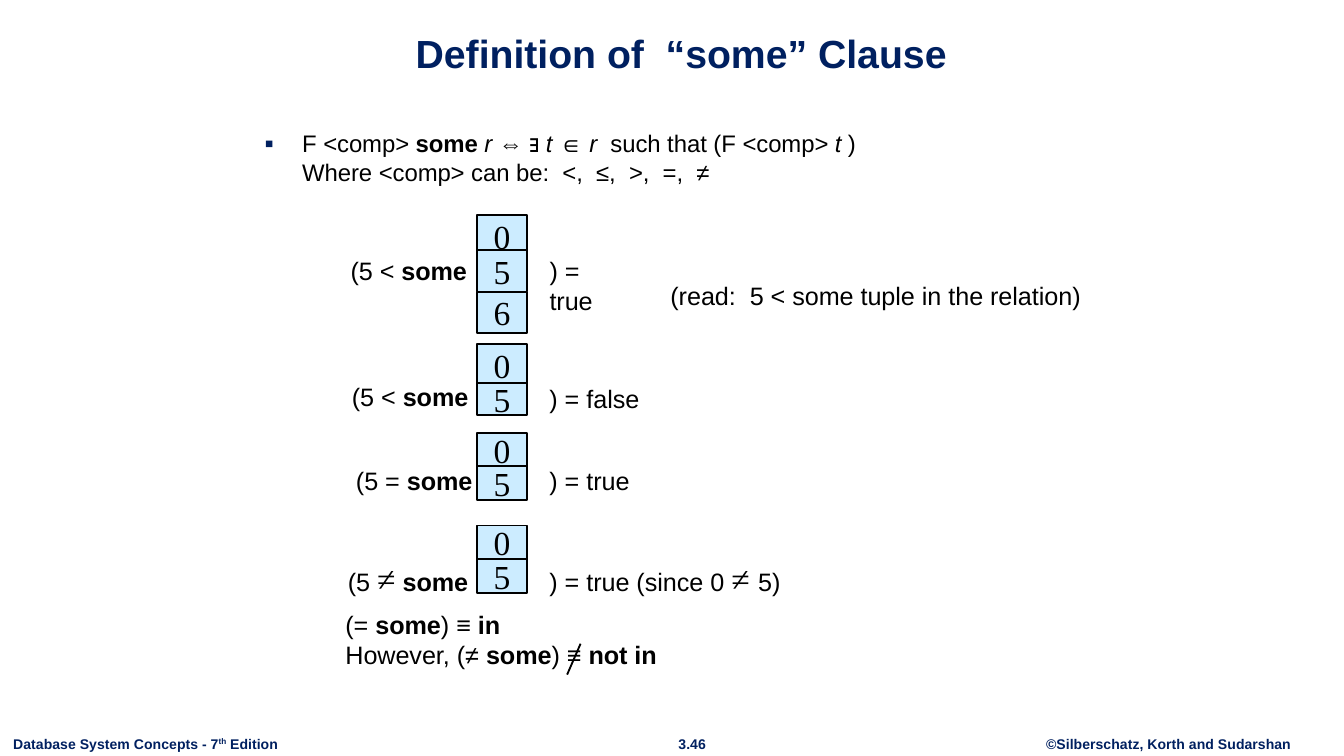
from lxml import etree
from pptx import Presentation
from pptx import util as u
from pptx.dml.color import RGBColor
from pptx.enum import shapes, text
from pptx.oxml.ns import qn

COLORS = {"navy": "002060", "black": "000000", "cell": "CCECFF"}
WIDTH = 10
HEIGHT = WIDTH * 9 / 16
LEFT_COLUMN, CELL_COLUMN, RESULT_COLUMN = 2.5, 3.55, 3.99
CELL_WIDTH = 0.37
LABEL_HEIGHT = 0.33

# Each example: cells (value, top, height), left label, result label.
# A label is (left, top, width, height, runs); a run is (text, style flags).
EXAMPLES = [
    ([("0", 1.6, 0.31), ("5", 1.86, 0.31), ("6", 2.17, 0.31)],
     (2.51, 1.85, 1.11, LABEL_HEIGHT, [("(5 < ", ""), ("some", "b")]),
     (RESULT_COLUMN, 1.85, 0.75, 0.56, [(") = true", "")])),
    ([("0", 2.56, 0.31), ("5", 2.85, 0.24)],
     (2.52, 2.79, 1.13, LABEL_HEIGHT, [("(5 < ", ""), ("some", "b")]),
     (RESULT_COLUMN, 2.8, 1, LABEL_HEIGHT, [(") = false", "")])),
    ([("0", 3.22, 0.25), ("5", 3.47, 0.25)],
     (2.55, 3.41, 1.25, LABEL_HEIGHT, [("(5 = ", ""), ("some", "b")]),
     (RESULT_COLUMN, 3.41, 1, LABEL_HEIGHT, [(") = true", "")])),
    ([("0", 3.91, 0.25), ("5", 4.16, 0.25)],
     (2.49, 4.1, 1.19, 0.4,
      [("(5 ", ""), ("≠", "m"), (" ", ""), ("some", "b")]),
     (RESULT_COLUMN, 4.1, 2.06, 0.4,
      [(") = true (since 0 ", ""), ("≠ ", "m"), ("5)", "")])),
]

DEFINITION = [
    ("F <comp> ", ""), ("some ", "b"), ("r ", "i"), ("⇔ ∃ ", ""), ("t ", "i"),
    ("∈", ""), (" r  ", "i"), ("such that (F <comp> ", ""), ("t ", "i"),
    (")", ""), ("\n", ""), ("Where <comp> can be:  <,  ≤,  >,  =,  ≠", ""),
]

CONCLUSIONS = [
    [("(= ", ""), ("some", "b"), (") ≡ ", ""), ("in", "b")],
    [("However, (≠ ", ""), ("some", "b"), (") ≡ ", ""), ("not in", "b")],
]

FOOTERS = [
    (0, 2.18, text.PP_ALIGN.LEFT,
     [("Database System Concepts - 7", "b"), ("th", "bs"), (" Edition", "b")]),
    (4.94, 0.42, text.PP_ALIGN.CENTER, [("3.46", "b")]),
    (7.68, 2.03, text.PP_ALIGN.CENTER,
     [("©Silberschatz, Korth and Sudarshan", "b")]),
]


def rgb(name):
    return RGBColor.from_string(COLORS[name])


def inches(*lengths):
    return [u.Inches(length) for length in lengths]


def set_font(font, size, color="black", name="Arial", bold=False, italic=False):
    font.size, font.name = u.Pt(size), name
    font.bold, font.italic = bold, italic
    font.color.rgb = rgb(color)


def write_runs(paragraph, runs, size, color="black"):
    """Style flags: b bold, i italic, s superscript, m large serif symbol."""
    for content, flags in runs:
        if content == "\n":
            paragraph.add_line_break()
            continue
        run = paragraph.add_run()
        run.text = content
        symbol = "m" in flags
        set_font(run.font, 18 if symbol else size, color,
                 "Times New Roman" if symbol else "Arial",
                 "b" in flags, "i" in flags)
        if "s" in flags:
            run._r.get_or_add_rPr().set("baseline", "30000")


def add_text(slide, box, paragraphs, size=13.5, color="black",
             align=text.PP_ALIGN.LEFT, wrap=True):
    frame = slide.shapes.add_textbox(*inches(*box)).text_frame
    frame.word_wrap = wrap
    for index, runs in enumerate(paragraphs):
        paragraph = frame.add_paragraph() if index else frame.paragraphs[0]
        paragraph.alignment = align
        write_runs(paragraph, runs, size, color)
    return frame


def add_bullet(paragraph, indent):
    properties = paragraph._p.get_or_add_pPr()
    properties.set("marL", str(u.Inches(indent)))
    properties.set("indent", str(-u.Inches(indent)))
    color = etree.SubElement(properties, qn("a:buClr"))
    etree.SubElement(color, qn("a:srgbClr"), val=COLORS["navy"])
    etree.SubElement(properties, qn("a:buSzPct"), val="110000")
    etree.SubElement(properties, qn("a:buFont"), typeface="Arial")
    etree.SubElement(properties, qn("a:buChar"), char="▪")


def add_cell(slide, value, top, height):
    cell = slide.shapes.add_shape(
        shapes.MSO_SHAPE.RECTANGLE,
        *inches(CELL_COLUMN, top, CELL_WIDTH, height))
    cell.shadow.inherit = False
    cell.fill.solid()
    cell.fill.fore_color.rgb = rgb("cell")
    cell.line.color.rgb = rgb("black")
    cell.line.width = u.Pt(1)
    frame = cell.text_frame
    frame.word_wrap = False
    frame.vertical_anchor = text.MSO_ANCHOR.MIDDLE
    frame.text = value
    paragraph = frame.paragraphs[0]
    paragraph.alignment = text.PP_ALIGN.CENTER
    set_font(paragraph.runs[0].font, 18, name="Times New Roman")


def add_line(slide, start, end):
    line = slide.shapes.add_connector(
        shapes.MSO_CONNECTOR.STRAIGHT, *inches(*start, *end))
    line.line.color.rgb = rgb("black")
    line.line.width = u.Pt(1)
    etree.SubElement(line._element.spPr, qn("a:effectLst"))


def set_title(slide, content):
    title = slide.shapes.title
    title.left, title.top, title.width, title.height = inches(
        1.76, 0.12, 6.62, 0.5)
    frame = title.text_frame
    frame.text = content
    frame.auto_size = text.MSO_AUTO_SIZE.NONE
    frame.vertical_anchor = text.MSO_ANCHOR.BOTTOM
    paragraph = frame.paragraphs[0]
    paragraph.alignment = text.PP_ALIGN.CENTER
    set_font(paragraph.runs[0].font, 21, "navy", bold=True)


def add_example(slide, cells, *labels):
    for cell in cells:
        add_cell(slide, *cell)
    for *box, runs in labels:
        add_text(slide, box, [runs])


def main():
    presentation = Presentation()
    presentation.slide_width, presentation.slide_height = inches(WIDTH, HEIGHT)
    slide = presentation.slides.add_slide(presentation.slide_layouts[5])

    set_title(slide, "Definition of  “some” Clause")
    definition = add_text(slide, (1.87, 0.91, 5.58, 0.59), [DEFINITION], 12.75)
    add_bullet(definition.paragraphs[0], 0.28)

    for example in EXAMPLES:
        add_example(slide, *example)
    add_text(slide, (4.89, 2.04, 4, LABEL_HEIGHT),
             [[("(read:  5 < some tuple in the relation)", "")]])

    conclusion = add_text(slide, (LEFT_COLUMN, 4.49, 5.58, 0.59), CONCLUSIONS)
    conclusion.margin_left = conclusion.margin_right = u.Inches(0.07)
    conclusion.margin_top = conclusion.margin_bottom = u.Inches(0.04)
    add_line(slide, (4.32, 4.79), (4.22, 5.02))

    for left, width, align, runs in FOOTERS:
        add_text(slide, (left, 5.42, width, 0.23), [runs], 7.5, "navy",
                 align, wrap=False)

    presentation.save("out.pptx")


if __name__ == "__main__":
    main()
